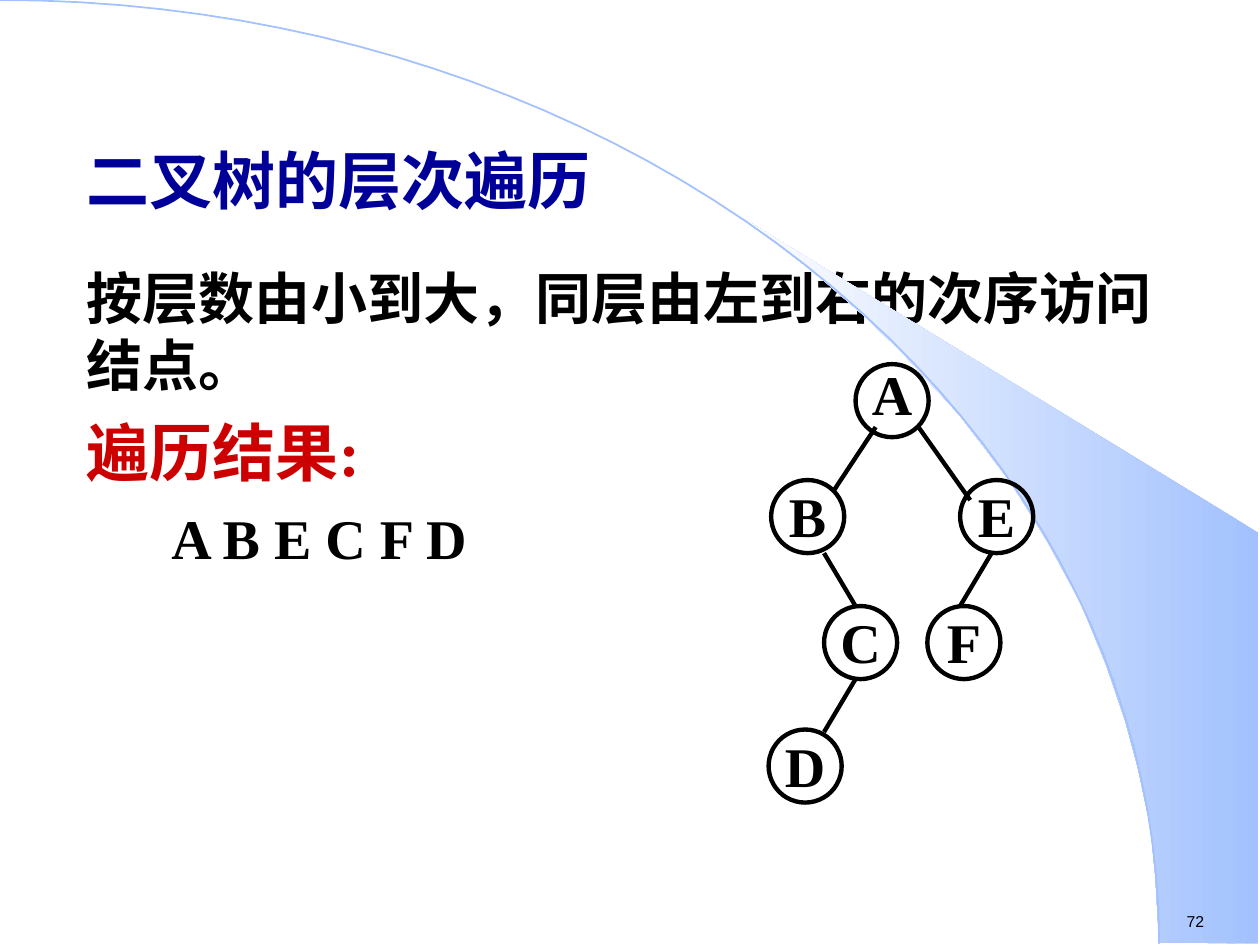
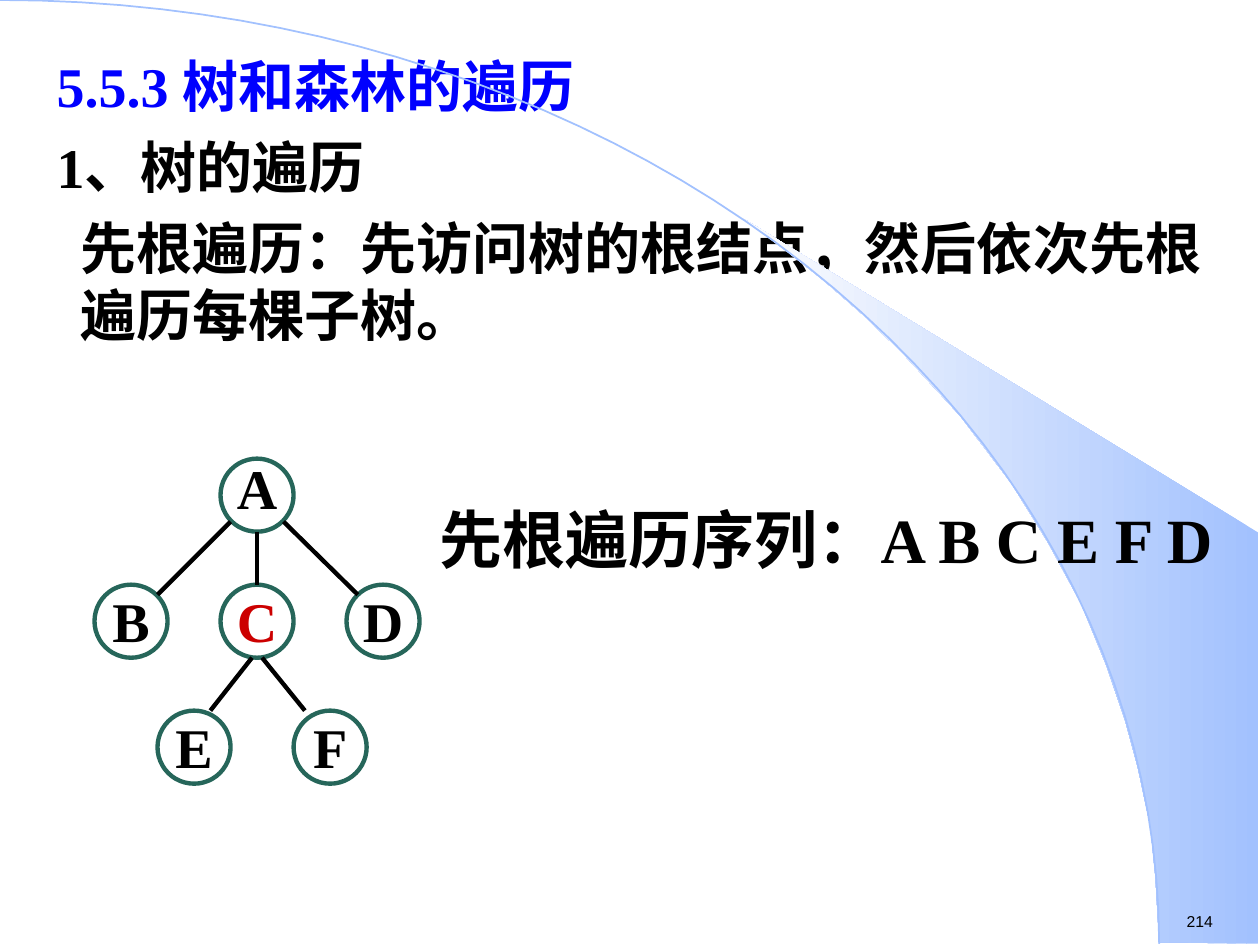
"""Build two slides on traversing binary trees and general trees."""
from math import cos, radians, sin

from lxml.etree import SubElement
from pptx import Presentation
from pptx.dml.color import RGBColor
from pptx.enum.shapes import MSO_CONNECTOR, MSO_SHAPE
from pptx.enum.text import MSO_ANCHOR, MSO_AUTO_SIZE, PP_ALIGN
from pptx.oxml.ns import qn
from pptx.util import Inches, Pt

BLACK, RED, NAVY, BLUE = "000000", "CC0000", "000099", "0000FF"
GREEN, SKY, PALE = "26665A", "A2C1FE", "FEFEFE"
SERIF, SANS = "Times New Roman", "Arial"
NODE_SIZE = 0.58
ARC_WIDTH, ARC_HEIGHT = 9.2, 7.49
BEAM = [
    (9.2, 7.48), (9.99, 7.49), (9.99, 4.23), (5.89, 1.73), (6.24, 1.99),
    (6.53, 2.22), (6.85, 2.5), (7.16, 2.8), (7.62, 3.3), (8.03, 3.84),
    (8.32, 4.31), (8.58, 4.79), (8.78, 5.28), (8.93, 5.72), (9.03, 6.09),
    (9.13, 6.56), (9.17, 6.96),
]

BINARY_NODES = {
    "A": (6.79, 2.89), "B": (6.12, 3.81), "E": (7.62, 3.81),
    "C": (6.54, 4.81), "F": (7.36, 4.81), "D": (6.1, 5.79),
}
BINARY_EDGES = [
    (6.95, 3.39, 6.62, 3.89), (7.29, 3.39, 7.7, 3.97),
    (6.54, 4.39, 6.79, 4.81), (7.87, 4.39, 7.62, 4.81),
    (6.79, 5.39, 6.54, 5.81),
]
TREE_NODES = {
    "A": (1.75, 3.64), "B": (0.75, 4.64), "C": (1.75, 4.64),
    "D": (2.75, 4.64), "E": (1.25, 5.64), "F": (2.33, 5.64),
}
TREE_EDGES = [
    (1.83, 4.14, 1.25, 4.72), (2.04, 4.22, 2.04, 4.64),
    (2.25, 4.14, 2.84, 4.72), (2, 5.22, 1.67, 5.64),
    (2.08, 5.22, 2.42, 5.64),
]


def rgb(value):
    """Turn a hex string into a colour."""
    return RGBColor.from_string(value)


def add_span(para, text, size, color=BLACK, font=SERIF, bold=True):
    """Add one formatted run to a paragraph."""
    span = para.add_run()
    span.text = text
    span.font.name = font
    span.font.size = Pt(size)
    span.font.bold = bold
    span.font.color.rgb = rgb(color)


def add_outline(page, points, closed):
    """Add a freeform through points given in inches."""
    start, *others = [(Inches(x), Inches(y)) for x, y in points]
    builder = page.shapes.build_freeform(*start)
    builder.add_line_segments(others, close=closed)
    outline = builder.convert_to_shape()
    outline.shadow.inherit = False
    return outline


def add_backdrop(page):
    """Draw the shaded beam and the quarter arc."""
    beam = add_outline(page, BEAM, True)
    beam.fill.gradient()
    beam.fill.gradient_angle = 180
    for stop, color in zip(beam.fill.gradient_stops, (SKY, PALE)):
        stop.color.rgb = rgb(color)
    beam.line.fill.background()
    curve = [
        (ARC_WIDTH * sin(radians(angle)), ARC_HEIGHT * (1 - cos(radians(angle))))
        for angle in range(0, 91, 2)
    ]
    arc = add_outline(page, curve, False)
    arc.fill.background()
    arc.line.color.rgb = rgb(SKY)
    arc.line.width = Pt(1)


def add_text(shapes, left, top, width, height, text, size, wrap=True, **style):
    """Add a text box and return its paragraph."""
    box = shapes.add_textbox(Inches(left), Inches(top), Inches(width), Inches(height))
    box.text_frame.word_wrap = wrap
    para = box.text_frame.paragraphs[0]
    add_span(para, text, size, **style)
    return para


def add_page(deck, number):
    """Add a page with the shared backdrop and page number."""
    page = deck.slides.add_slide(deck.slide_layouts[1])
    add_backdrop(page)
    add_text(page.shapes, 9.32, 7.19, 0.77, 0.25, number, 9,
             wrap=False, font=SANS, bold=False)
    return page


def place(holder, left, top, width, height):
    """Move a placeholder and return its top-anchored text frame."""
    holder.left, holder.top = Inches(left), Inches(top)
    holder.width, holder.height = Inches(width), Inches(height)
    frame = holder.text_frame
    frame.word_wrap = True
    frame.auto_size = MSO_AUTO_SIZE.NONE
    frame.vertical_anchor = MSO_ANCHOR.TOP
    return frame


def fill_title(page, text, size, color, left, top, width):
    """Write the slide title in its placeholder."""
    para = place(page.shapes.title, left, top, width, 0.7).paragraphs[0]
    para.alignment = PP_ALIGN.LEFT
    add_span(para, text, size, color)


def fill_body(page, lines, left, top, width, height):
    """Write (text, size, colour, indent, space before) lines in the body."""
    frame = place(page.placeholders[1], left, top, width, height)
    for index, (text, size, color, indent, before) in enumerate(lines):
        para = frame.add_paragraph() if index else frame.paragraphs[0]
        properties = para._p.get_or_add_pPr()
        properties.set("marL", str(Inches(indent)))
        properties.set("indent", "0")
        SubElement(properties, qn("a:buNone"))
        para.space_before = Pt(before)
        add_span(para, text, size, color)


def add_node(shapes, letter, left, top, line_color, text_color, spacing):
    """Draw a circled tree node with its letter."""
    circle = shapes.add_shape(MSO_SHAPE.OVAL, Inches(left), Inches(top),
                              Inches(NODE_SIZE), Inches(NODE_SIZE))
    circle.shadow.inherit = False
    circle.fill.background()
    circle.line.color.rgb = rgb(line_color)
    circle.line.width = Pt(2.5)
    para = add_text(shapes, left, top - 0.09, NODE_SIZE, 0.69, letter, 32,
                    color=text_color)
    para.alignment = PP_ALIGN.CENTER
    para.line_spacing = spacing


def add_edge(shapes, *ends):
    """Draw a straight edge between two points."""
    edge = shapes.add_connector(MSO_CONNECTOR.STRAIGHT, *map(Inches, ends))
    edge.line.color.rgb = rgb(BLACK)
    edge.line.width = Pt(2.5)
    SubElement(edge._element.spPr, qn("a:effectLst"))


def add_tree(page, nodes, edges, line_color, marked=""):
    """Draw a grouped tree, with the marked node's letter in red."""
    shapes = page.shapes.add_group_shape().shapes
    for letter, (left, top) in nodes.items():
        add_node(shapes, letter, left, top, line_color,
                 RED if letter == marked else BLACK,
                 1.0 if letter == "A" else 1.1)
    for ends in edges:
        add_edge(shapes, *ends)


def add_level_order_page(deck):
    """Build the slide on level-order traversal."""
    page = add_page(deck, "72")
    fill_title(page, "二叉树的层次遍历", 36, NAVY, 0.59, 1.07, 9.06)
    fill_body(page, [
        ("按层数由小到大，同层由左到右的次序访问结点。", 32, BLACK, 0, 0),
        ("遍历结果:", 36, RED, 0, 9),
        ("A B E C F D", 32, BLACK, 0.67, 8),
    ], 0.59, 2.04, 9.06, 4.54)
    add_tree(page, BINARY_NODES, BINARY_EDGES, BLACK)


def add_preorder_page(deck):
    """Build the slide on root-first traversal."""
    page = add_page(deck, "214")
    fill_title(page, "5.5.3 树和森林的遍历", 32, BLUE, 0.35, 0.36, 9.37)
    fill_body(page, [
        ("1、树的遍历", 32, BLACK, 0, 0),
        ("先根遍历：先访问树的根结点，然后依次先根遍历每棵子树。", 32, BLACK, 0.19, 8),
    ], 0.35, 1, 9.37, 5.78)
    add_text(page.shapes, 3.39, 3.92, 6.44, 1.3, "先根遍历序列：A B C E F D", 36)
    add_tree(page, TREE_NODES, TREE_EDGES, GREEN, marked="C")


def main():
    """Build and save the deck."""
    deck = Presentation()
    deck.slide_width, deck.slide_height = Inches(10), Inches(7.5)
    add_level_order_page(deck)
    add_preorder_page(deck)
    deck.save("out.pptx")


if __name__ == "__main__":
    main()
